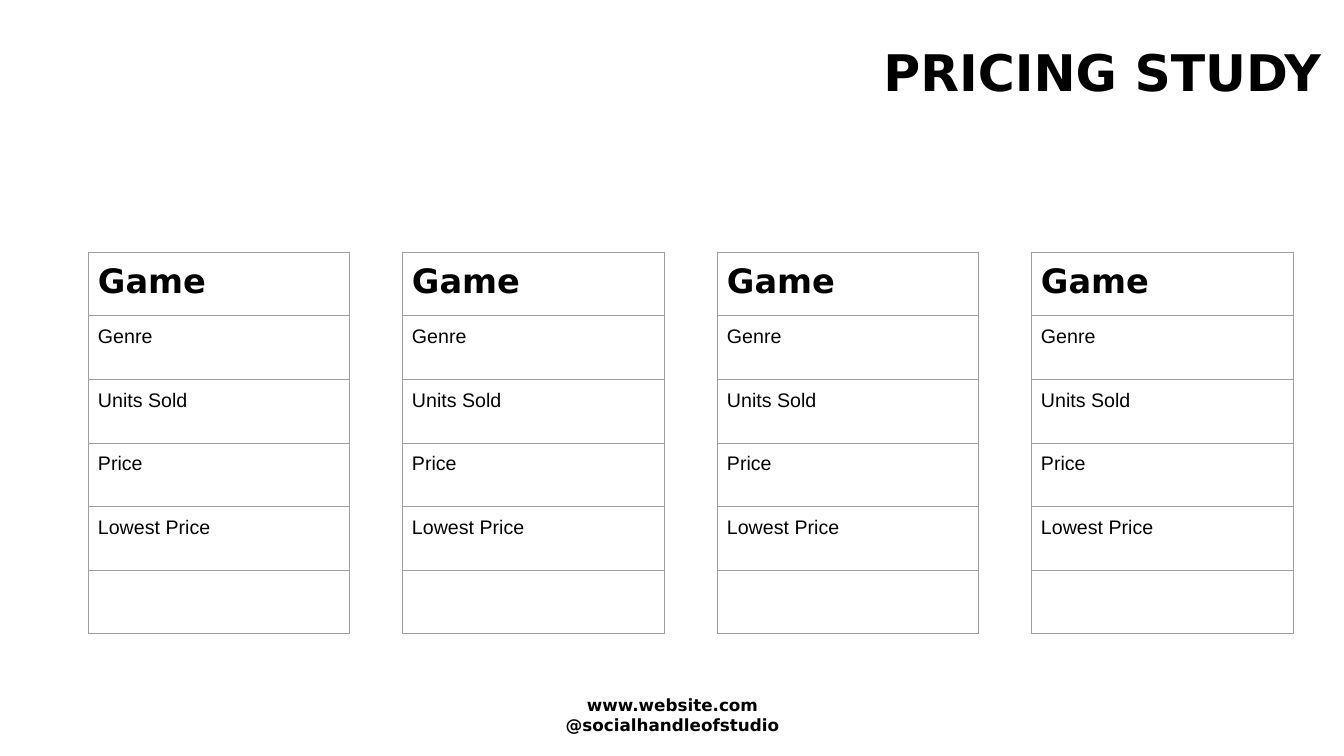
import pptx
import pptx.dml.color
import pptx.enum.text
import pptx.oxml
import pptx.oxml.ns
import pptx.util

EMU_PER_PX = 914400 / 100.8
COLORS = {"text": "000000", "border": "9E9E9E"}
DISPLAY_FONT = "DejaVu Sans"
BODY_FONT = "Arial"
INSET = 10
TABLE_COUNT = 4
TABLE_LEFT, TABLE_TOP, TABLE_WIDTH, TABLE_HEIGHT = 88, 252, 262, 382
LAST_TABLE_LEFT = 1031
ROW_LABELS = ["Game", "Genre", "Units Sold", "Price", "Lowest Price", ""]


def px(length):
    return pptx.util.Emu(round(length * EMU_PER_PX))


def style_font(font, name, size, bold):
    font.name = name
    font.size = pptx.util.Pt(size)
    font.bold = bold
    font.color.rgb = pptx.dml.color.RGBColor.from_string(COLORS["text"])


def set_insets(holder):
    """Give a text frame or a table cell the same inset on all sides."""
    holder.margin_left = holder.margin_right = px(INSET)
    holder.margin_top = holder.margin_bottom = px(INSET)
    holder.vertical_anchor = pptx.enum.text.MSO_ANCHOR.TOP


def fill_box(box, text, size, align):
    frame = box.text_frame
    frame.word_wrap = True
    frame.auto_size = pptx.enum.text.MSO_AUTO_SIZE.NONE
    set_insets(frame)
    para = frame.paragraphs[0]
    para.text = text
    para.alignment = align
    style_font(para.font, DISPLAY_FONT, size, True)


def add_title(page, text, left, top, width, height):
    title = page.shapes.title
    title.left, title.top = px(left), px(top)
    title.width, title.height = px(width), px(height)
    fill_box(title, text, 36, pptx.enum.text.PP_ALIGN.RIGHT)


def add_contact(page, text, left, top, width, height):
    box = page.shapes.add_textbox(px(left), px(top), px(width), px(height))
    fill_box(box, text, 12, pptx.enum.text.PP_ALIGN.CENTER)


def outline_cell(cell):
    properties = cell._tc.get_or_add_tcPr()
    for position, side in enumerate("LRTB"):
        line = pptx.oxml.parse_xml(
            f'<a:ln{side} {pptx.oxml.ns.nsdecls("a")} w="{pptx.util.Pt(0.75)}">'
            f'<a:solidFill><a:srgbClr val="{COLORS["border"]}"/></a:solidFill>'
            f'</a:ln{side}>')
        properties.insert(position, line)


def add_game_table(page, left):
    table = page.shapes.add_table(
        len(ROW_LABELS), 1, px(left), px(TABLE_TOP),
        px(TABLE_WIDTH), px(TABLE_HEIGHT)).table
    table.first_row = False
    table.horz_banding = False
    for index, label in enumerate(ROW_LABELS):
        cell = table.cell(index, 0)
        set_insets(cell)
        cell.fill.background()
        outline_cell(cell)
        para = cell.text_frame.paragraphs[0]
        para.text = label
        if index == 0:
            style_font(para.font, DISPLAY_FONT, 24, True)
        else:
            style_font(para.font, BODY_FONT, 14, False)


def main():
    deck = pptx.Presentation()
    deck.slide_width, deck.slide_height = px(1344), px(756)
    page = deck.slides.add_slide(deck.slide_layouts.get_by_name("Title Only"))
    add_title(page, "PRICING STUDY", 584, 31, 747, 132)
    add_contact(page, "www.website.com\v@socialhandleofstudio", 507, 685, 331, 58)
    pitch = (LAST_TABLE_LEFT - TABLE_LEFT) / (TABLE_COUNT - 1)
    for index in range(TABLE_COUNT):
        add_game_table(page, round(TABLE_LEFT + index * pitch))
    deck.save("out.pptx")


if __name__ == "__main__":
    main()
